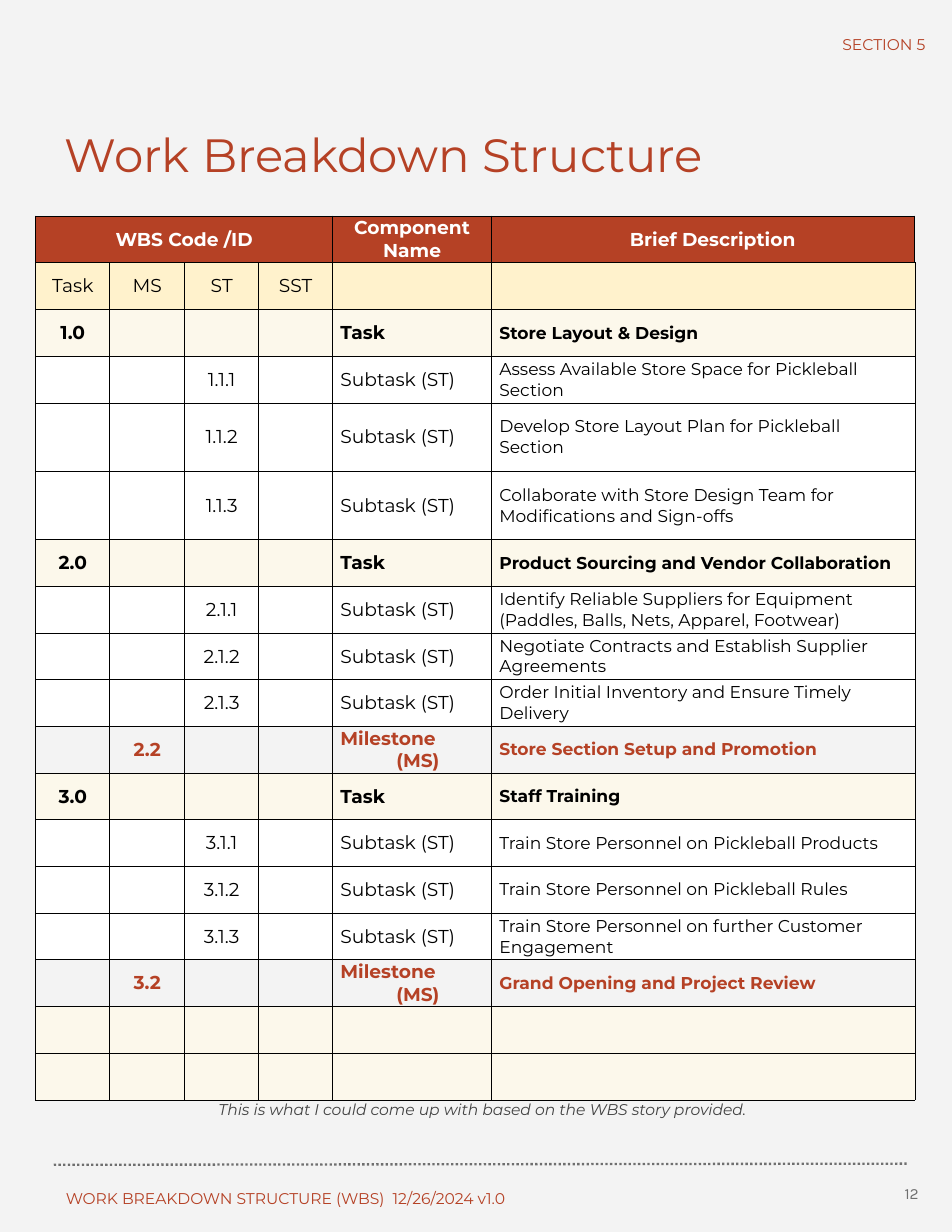
from pptx import Presentation
from pptx.dml.color import RGBColor
from pptx.enum.dml import MSO_LINE
from pptx.enum.shapes import MSO_CONNECTOR
from pptx.enum.text import MSO_ANCHOR, PP_ALIGN
from pptx.oxml.ns import qn
from pptx.util import Inches, Pt
from lxml import etree

LEFT, CENTER, RIGHT = PP_ALIGN.LEFT, PP_ALIGN.CENTER, PP_ALIGN.RIGHT
TOP, MIDDLE = MSO_ANCHOR.TOP, MSO_ANCHOR.MIDDLE
STRAIGHT, DOT = MSO_CONNECTOR.STRAIGHT, MSO_LINE.ROUND_DOT

RUST, BLACK, GRAY = "B54125", "000000", "6F6F6F"
COLS = [0.66, 0.67, 0.66, 0.66, 1.42, 3.78]
ROW_H, TALL_H = 0.417, 0.61
TALL_CODES = ("1.1.2", "1.1.3")
CODE_COL = {"task": 0, "milestone": 1, "subtask": 2}
LABEL = {"task": "Task", "milestone": "Milestone (MS)", "subtask": "Subtask (ST)"}
STYLE = {
    "header": (RUST, "FFFFFF", True),
    "levels": ("FFF2CC", BLACK, False),
    "task": ("FCF8EB", BLACK, True),
    "subtask": ("FFFFFF", BLACK, False),
    "milestone": (None, RUST, True),
    "blank": ("FCF8EB", BLACK, False),
}

ITEMS = [
    ("task", "1.0", "Store Layout & Design"),
    ("subtask", "1.1.1", "Assess Available Store Space for Pickleball Section"),
    ("subtask", "1.1.2", "Develop Store Layout Plan for Pickleball Section"),
    ("subtask", "1.1.3", "Collaborate with Store Design Team for Modifications and Sign-offs"),
    ("task", "2.0", "Product Sourcing and Vendor Collaboration"),
    ("subtask", "2.1.1", "Identify Reliable Suppliers for Equipment (Paddles, Balls, Nets, Apparel, Footwear)"),
    ("subtask", "2.1.2", "Negotiate Contracts and Establish Supplier Agreements"),
    ("subtask", "2.1.3", "Order Initial Inventory and Ensure Timely Delivery"),
    ("milestone", "2.2", "Store Section Setup and Promotion"),
    ("task", "3.0", "Staff Training"),
    ("subtask", "3.1.1", "Train Store Personnel on Pickleball Products"),
    ("subtask", "3.1.2", "Train Store Personnel on Pickleball Rules"),
    ("subtask", "3.1.3", "Train Store Personnel on further Customer Engagement"),
    ("milestone", "3.2", "Grand Opening and Project Review"),
]

TITLE = ("Work Breakdown Structure", (0.48, 1.02, 7.18, 0.71), LEFT, 30, RUST)
NOTES = [
    ("WORK BREAKDOWN STRUCTURE (WBS)  12/26/2024 v1.0", (0.49, 10.49, 7.63, 0.41), LEFT, 10, RUST),
    ("SECTION 5", (6.96, 0.19, 1.4, 0.41), RIGHT, 10, RUST),
]
CAPTION = ("This is what I could come up with based on the WBS story provided.",
           (0.7, 9.54, 7.21, 0.71), CENTER, 10, "434343")
PAGE = ("12", (7.79, 10.49, 0.51, 0.84), RIGHT, 10, GRAY)


def rgb(value):
    return RGBColor.from_string(value)


def set_font(p, size, color, bold=False, name="Montserrat"):
    p.font.name, p.font.size, p.font.bold = name, Pt(size), bold
    p.font.color.rgb = rgb(color)


def place_text(sp, text, box, align, size, color, anchor=MIDDLE, name="Montserrat"):
    sp.left, sp.top, sp.width, sp.height = map(Inches, box)
    tf = sp.text_frame
    tf.word_wrap, tf.vertical_anchor = True, anchor
    tf.margin_left = tf.margin_top = tf.margin_right = tf.margin_bottom = Inches(0.1)
    p = tf.paragraphs[0]
    p.text, p.alignment = text, align
    set_font(p, size, color, name=name)
    return p


def add_text(s, *args, **kwargs):
    return place_text(s.shapes.add_textbox(0, 0, 0, 0), *args, **kwargs)


def set_borders(cell, widths):
    tc_pr = cell._tc.get_or_add_tcPr()
    for side, width in zip("LRTB", widths):
        ln = etree.SubElement(tc_pr, qn("a:ln" + side), w=str(Pt(width)))
        fill = etree.SubElement(ln, qn("a:solidFill"))
        etree.SubElement(fill, qn("a:srgbClr"), val=BLACK)


def fill_cell(cell, kind, col, text):
    fill, color, bold = STYLE[kind]
    header = kind == "header"
    edge = 0.75 if header else 0.5
    set_borders(cell, (edge if col == 0 else 0.5, edge if col == 5 else 0.5,
                       0.75 if kind in ("header", "levels") else 0.5, edge))
    if fill:
        cell.fill.solid()
        cell.fill.fore_color.rgb = rgb(fill)
    else:
        cell.fill.background()
    cell.vertical_anchor = MIDDLE
    cell.margin_left = cell.margin_right = Inches(0.07)
    cell.margin_top = cell.margin_bottom = 0
    cell.text = text
    for p in cell.text_frame.paragraphs:
        p.alignment = CENTER if header or col < 4 else LEFT
        if col < 5 or header:
            margin, indent = (0.17, 0) if col == 5 else (0.5, -0.5)
            p_pr = p._p.get_or_add_pPr()
            p_pr.set("marL", str(Inches(margin)))
            p_pr.set("indent", str(Inches(indent)))
        set_font(p, 11 if col == 5 and not header else 12, color, bold)


def add_wbs_table(s):
    rows = [("header", ["WBS Code /ID", "", "", "", "Component\nName", "Brief Description"]),
            ("levels", ["Task", "MS", "ST", "SST", "", ""])]
    for kind, code, description in ITEMS:
        codes = [""] * 4
        codes[CODE_COL[kind]] = code
        rows.append((kind, codes + [LABEL[kind], description]))
    rows += [("blank", [""] * 6)] * 2
    heights = [TALL_H if set(TALL_CODES) & set(texts) else ROW_H for _, texts in rows]
    table = s.shapes.add_table(len(rows), len(COLS), Inches(0.32), Inches(1.93),
                               Inches(sum(COLS)), Inches(sum(heights))).table
    table.first_row = table.horz_banding = False
    for column, width in zip(table.columns, COLS):
        column.width = Inches(width)
    for r, (kind, texts) in enumerate(rows):
        table.rows[r].height = Inches(heights[r])
        for c, text in enumerate(texts):
            fill_cell(table.cell(r, c), kind, c, text)
    table.cell(0, 0).merge(table.cell(0, 3))


def main():
    prs = Presentation()
    prs.slide_width, prs.slide_height = Inches(8.5), Inches(11)
    s = prs.slides.add_slide(prs.slide_layouts[5])
    s.background.fill.solid()
    s.background.fill.fore_color.rgb = rgb("F3F3F3")

    add_wbs_table(s)
    place_text(s.shapes.title, *TITLE)
    for note in NOTES:
        add_text(s, *note)
    p = add_text(s, *CAPTION)
    p.font.italic, p.line_spacing = True, 1.15
    add_text(s, *PAGE, anchor=TOP, name="Karla")

    rule = s.shapes.add_connector(STRAIGHT, Inches(0.48), Inches(10.4), Inches(8.11), Inches(10.39))
    rule.line.color.rgb = rgb(GRAY)
    rule.line.width, rule.line.dash_style = Pt(1.5), DOT
    etree.SubElement(rule._element.spPr, qn("a:effectLst"))
    prs.save("out.pptx")


if __name__ == "__main__":
    main()
